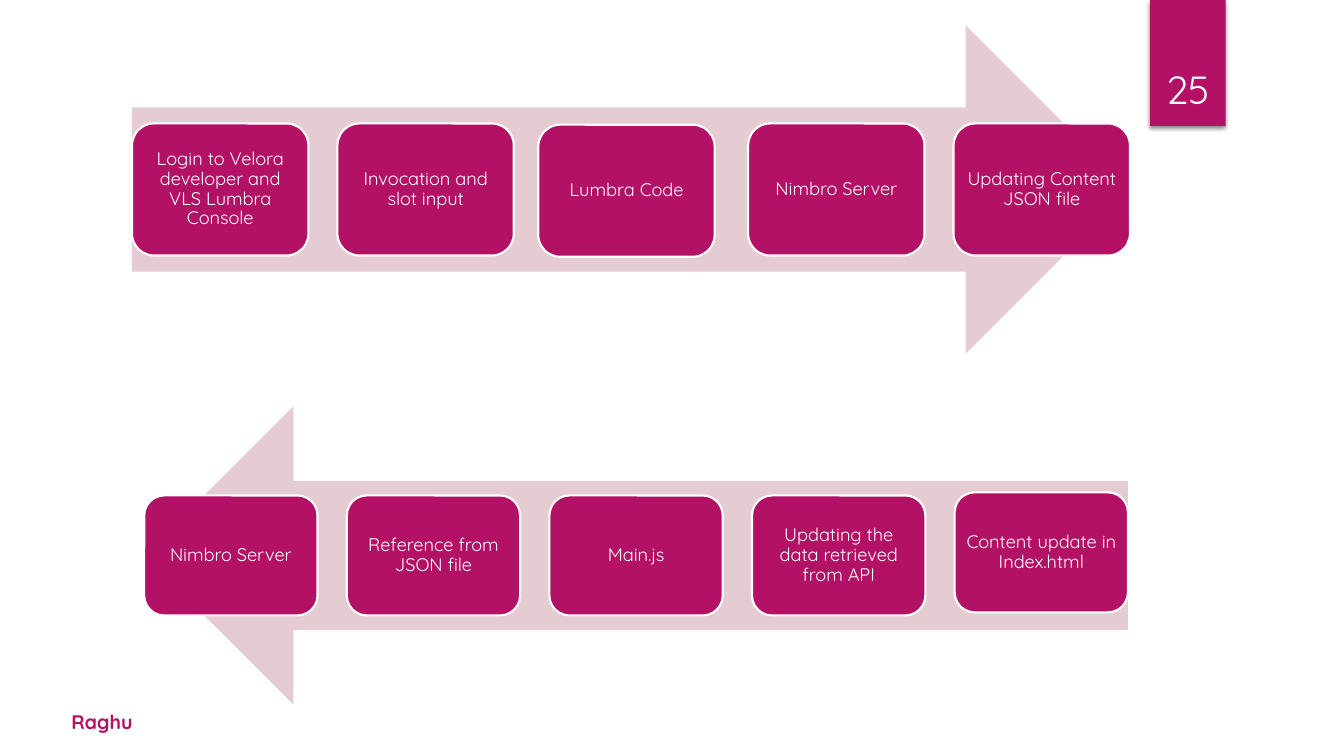
from dataclasses import dataclass

from lxml import etree
from pptx import Presentation
from pptx.dml import color
from pptx.enum import shapes, text
from pptx.oxml import ns
from pptx.util import Pt


@dataclass(frozen=True)
class Theme:
    font: str = "Quicksand"
    main: str = "B31166"
    pale: str = "E5CCD3"
    white: str = "FFFFFF"
    dark: str = "000000"
    step: float = 13
    name: float = 14
    page: float = 28


class Deck:
    def __init__(self, theme):
        self.theme = theme
        self.show = Presentation()
        self.show.slide_width, self.show.slide_height = Pt(960), Pt(540)
        self.slide = self.show.slides.add_slide(self.show.slide_layouts[6])

    def rgb(self, code):
        return color.RGBColor.from_string(code)

    def shape(self, kind, box, fill, line=None):
        item = self.slide.shapes.add_shape(kind, *map(Pt, box))
        item.shadow.inherit = False
        item.fill.solid()
        item.fill.fore_color.rgb = self.rgb(fill)
        if line:
            item.line.color.rgb = self.rgb(line)
            item.line.width = Pt(1.5)
        else:
            item.line.fill.background()
        return item

    def letter(self, item, words, size, ink, pads, bold=False, spread=1,
               align=text.PP_ALIGN.CENTER, anchor=text.MSO_ANCHOR.MIDDLE):
        frame = item.text_frame
        left, top, right, bottom = map(Pt, pads)
        para = frame.paragraphs[0]
        looks = {
            frame: {"word_wrap": True, "vertical_anchor": anchor,
                    "margin_left": left, "margin_top": top,
                    "margin_right": right, "margin_bottom": bottom},
            para: {"text": words, "alignment": align, "line_spacing": spread},
            para.font: {"name": self.theme.font, "size": Pt(size), "bold": bold},
        }
        for part, values in looks.items():
            for key, value in values.items():
                setattr(part, key, value)
        para.font.color.rgb = self.rgb(ink)

    def label(self, box, words, size, ink):
        item = self.slide.shapes.add_textbox(*map(Pt, box))
        self.letter(item, words, size, ink, (7.2, 3.6, 7.2, 3.6), bold=True,
                    align=text.PP_ALIGN.LEFT)

    def shade(self, item):
        effects = item._element.spPr.find(ns.qn("a:effectLst"))
        cast = etree.SubElement(effects, ns.qn("a:outerShdw"), blurRad=str(Pt(3)),
                                dist=str(Pt(2)), dir="5400000", rotWithShape="0")
        tint = etree.SubElement(cast, ns.qn("a:srgbClr"), val=self.theme.dark)
        etree.SubElement(tint, ns.qn("a:alpha"), val="45000")

    def tab(self, box, number):
        item = self.shape(shapes.MSO_SHAPE.RECTANGLE, box, self.theme.main)
        self.shade(item)
        self.letter(item, number, self.theme.page, self.theme.white,
                    (0, 0, 0, 10), anchor=text.MSO_ANCHOR.BOTTOM)

    def flow(self, box, size, steps, turn=0, nudge=None):
        left, top, width, height = box
        wide, high = size
        arrow = self.shape(shapes.MSO_SHAPE.RIGHT_ARROW, box, self.theme.pale)
        arrow.rotation = turn
        pitch = (width - wide) / (len(steps) - 1)
        for i, words in enumerate(steps):
            dx, dy = (nudge or {}).get(i, (0, 0))
            place = (left + i * pitch + dx, top + (height - high) / 2 + dy,
                     wide, high)
            card = self.shape(shapes.MSO_SHAPE.ROUNDED_RECTANGLE, place,
                              self.theme.main, self.theme.white)
            self.letter(card, words, self.theme.step, self.theme.white,
                        (3.6,) * 4, spread=0.9)


def main():
    theme = Theme()
    deck = Deck(theme)
    deck.tab((821.5, 0, 54, 90), "25")
    deck.flow((94.3, 18, 712.8, 234.7), (126, 94.3),
              ["Login to Velora developer and VLS Lumbra Console",
               "Invocation and slot input", "Lumbra Code", "Nimbro Server",
               "Updating Content JSON file"], nudge={2: (-3.2, 0.9)})
    deck.flow((103, 290.2, 702.7, 213.1), (123.8, 85.7),
              ["Nimbro Server", "Reference from JSON file", "Main.js",
               "Updating the data retrieved from API",
               "Content update in Index.html"], turn=180, nudge={4: (0, -2.2)})
    deck.label((43.9, 503.3, 303.8, 23.8), "Raghu", theme.name, theme.main)
    deck.show.save("out.pptx")


if __name__ == "__main__":
    main()
